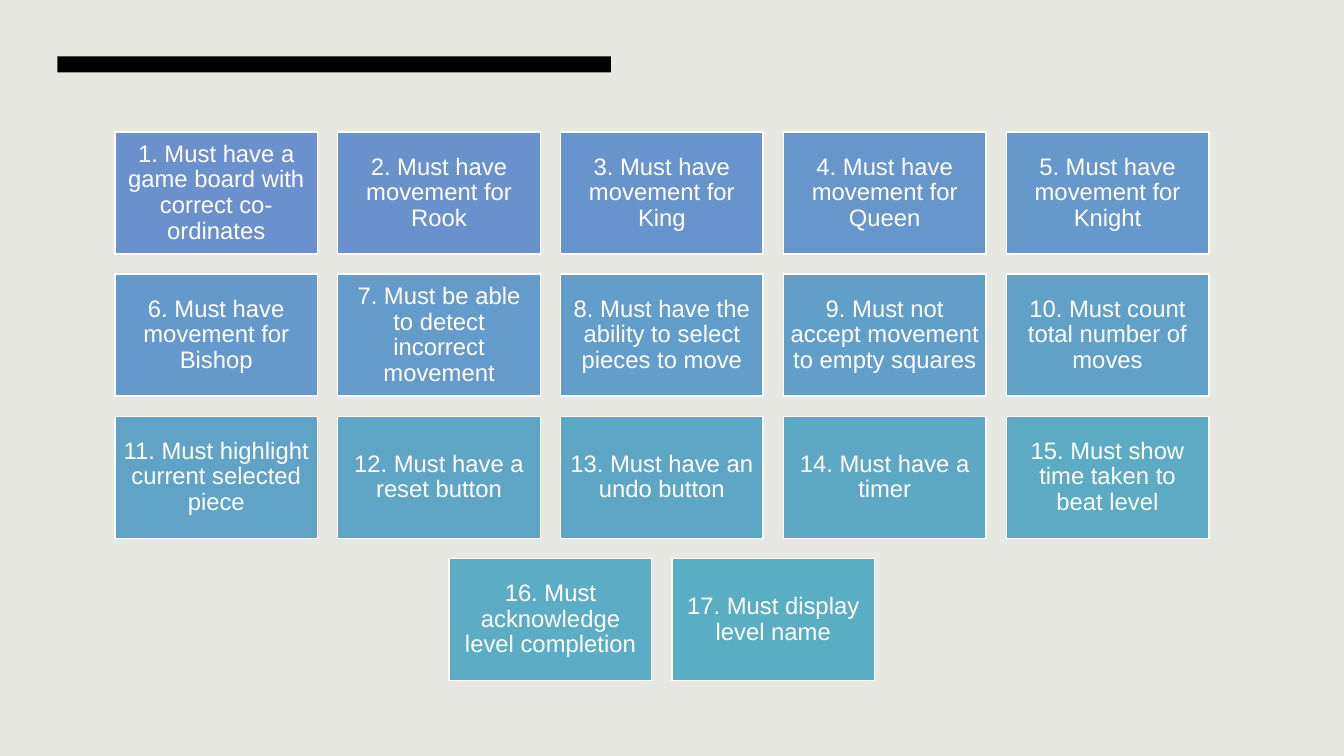
from pptx import Presentation
from pptx.dml.color import RGBColor
from pptx.enum.shapes import MSO_SHAPE as Shape
from pptx.enum.text import MSO_ANCHOR as Anchor, PP_ALIGN as Align
from pptx.util import Inches, Pt

BACKGROUND = RGBColor(0xE8, 0xE8, 0xE2)
BLACK = RGBColor(0, 0, 0)
WHITE = RGBColor(0xFF, 0xFF, 0xFF)
FIRST_TILE = RGBColor(0x6A, 0x90, 0xCE)
LAST_TILE = RGBColor(0x5A, 0xAE, 0xC3)

COLUMNS = 5
TILE_WIDTH, TILE_HEIGHT, GAP = 2.01, 1.21, 0.2
TILE_FRAME = {
    "word_wrap": True,
    "vertical_anchor": Anchor.MIDDLE,
    "margin_left": Inches(0.07),
    "margin_top": Inches(0.07),
    "margin_right": Inches(0.07),
    "margin_bottom": Inches(0.07),
}
TILE_PARAGRAPH = {"alignment": Align.CENTER, "line_spacing": 0.9}
TILE_FONT = {"name": "Arial", "size": Pt(17)}

REQUIREMENTS = [
    "Must have a game board with correct co-ordinates",
    "Must have movement for Rook",
    "Must have movement for King",
    "Must have movement for Queen",
    "Must have movement for Knight",
    "Must have movement for Bishop",
    "Must be able to detect incorrect movement",
    "Must have the ability to select pieces to move",
    "Must not accept movement to empty squares",
    "Must count total number of moves",
    "Must highlight current selected piece",
    "Must have a reset button",
    "Must have an undo button",
    "Must have a timer",
    "Must show time taken to beat level",
    "Must acknowledge level completion",
    "Must display level name",
]


def apply_format(target, values):
    """Set each attribute of the target from a dict of format values."""
    for attribute, value in values.items():
        setattr(target, attribute, value)


def blend(share):
    """Return the tile colour at a share of the way from first to last."""
    return RGBColor(*(round(start + (end - start) * share)
                      for start, end in zip(FIRST_TILE, LAST_TILE)))


def add_block(slide, left, top, width, height, color):
    """Add a filled rectangle without shadow or outline."""
    block = slide.shapes.add_shape(
        Shape.RECTANGLE, Inches(left), Inches(top), Inches(width), Inches(height))
    block.shadow.inherit = False
    block.fill.solid()
    block.fill.fore_color.rgb = color
    block.line.fill.background()
    return block


def add_tile(slide, left, top, requirement, color):
    """Add one requirement tile at the given corner."""
    tile = add_block(slide, left, top, TILE_WIDTH, TILE_HEIGHT, color)
    tile.line.color.rgb = WHITE
    tile.line.width = Pt(1)
    apply_format(tile.text_frame, TILE_FRAME)
    paragraph = tile.text_frame.paragraphs[0]
    paragraph.text = requirement
    apply_format(paragraph, TILE_PARAGRAPH)
    apply_format(paragraph.font, TILE_FONT)
    paragraph.font.color.rgb = WHITE


def add_requirement_grid(slide, left, top, width):
    """Lay the requirements out in rows centred in the given width."""
    for index, requirement in enumerate(REQUIREMENTS):
        row, column = divmod(index, COLUMNS)
        row_count = min(COLUMNS, len(REQUIREMENTS) - row * COLUMNS)
        row_width = row_count * (TILE_WIDTH + GAP) - GAP
        add_tile(
            slide,
            left + (width - row_width) / 2 + column * (TILE_WIDTH + GAP),
            top + row * (TILE_HEIGHT + GAP),
            f"{index + 1}. {requirement}",
            blend(index / (len(REQUIREMENTS) - 1)))


def main():
    """Build the requirements slide and save it."""
    deck = Presentation()
    deck.slide_width, deck.slide_height = Inches(13.33), Inches(7.5)
    slide = deck.slides.add_slide(deck.slide_layouts[6])
    slide.background.fill.solid()
    slide.background.fill.fore_color.rgb = BACKGROUND
    add_block(slide, 0.57, 0.56, 5.49, 0.16, BLACK)
    add_requirement_grid(slide, 1.14, 1.31, 10.85)
    deck.save("out.pptx")


if __name__ == "__main__":
    main()
